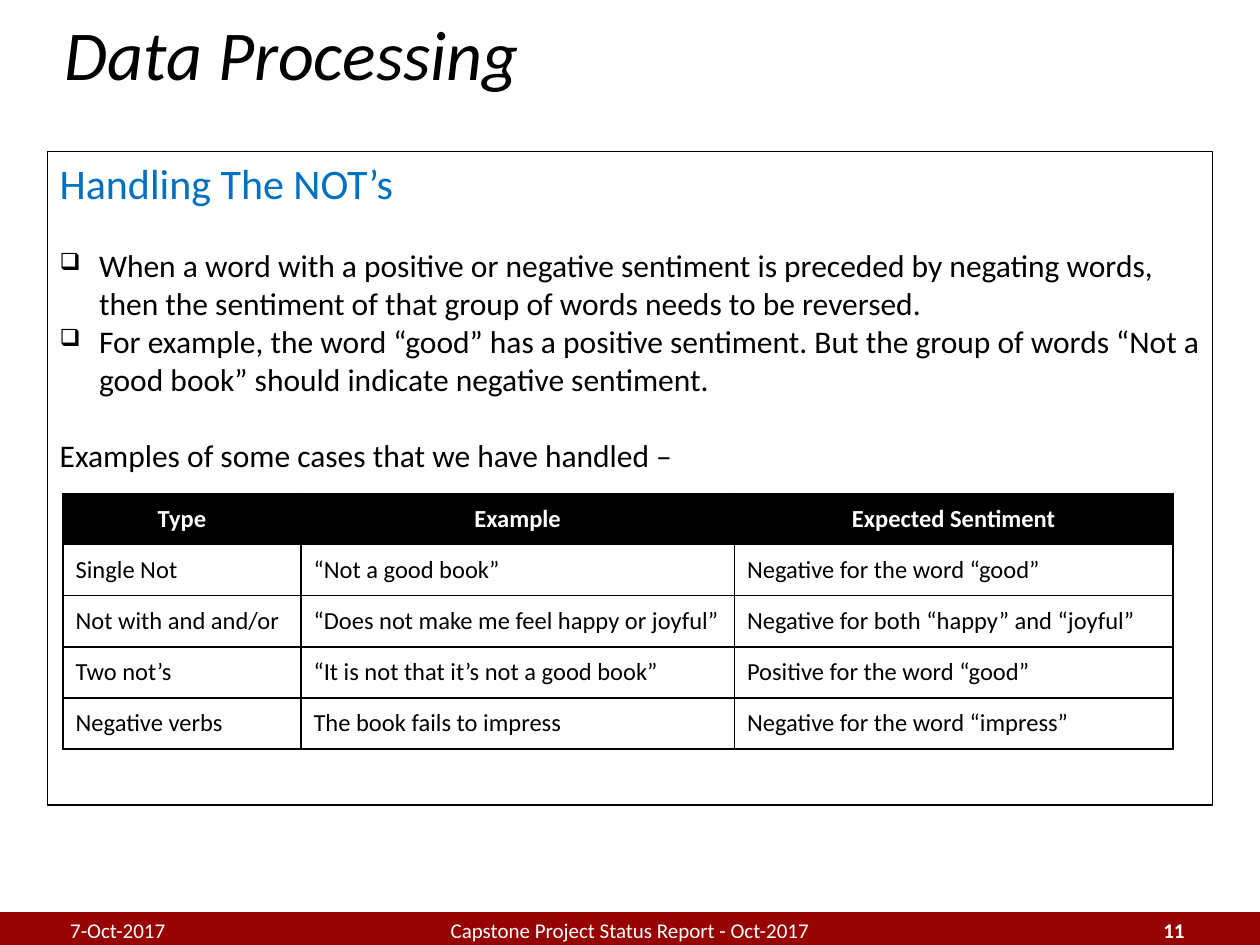
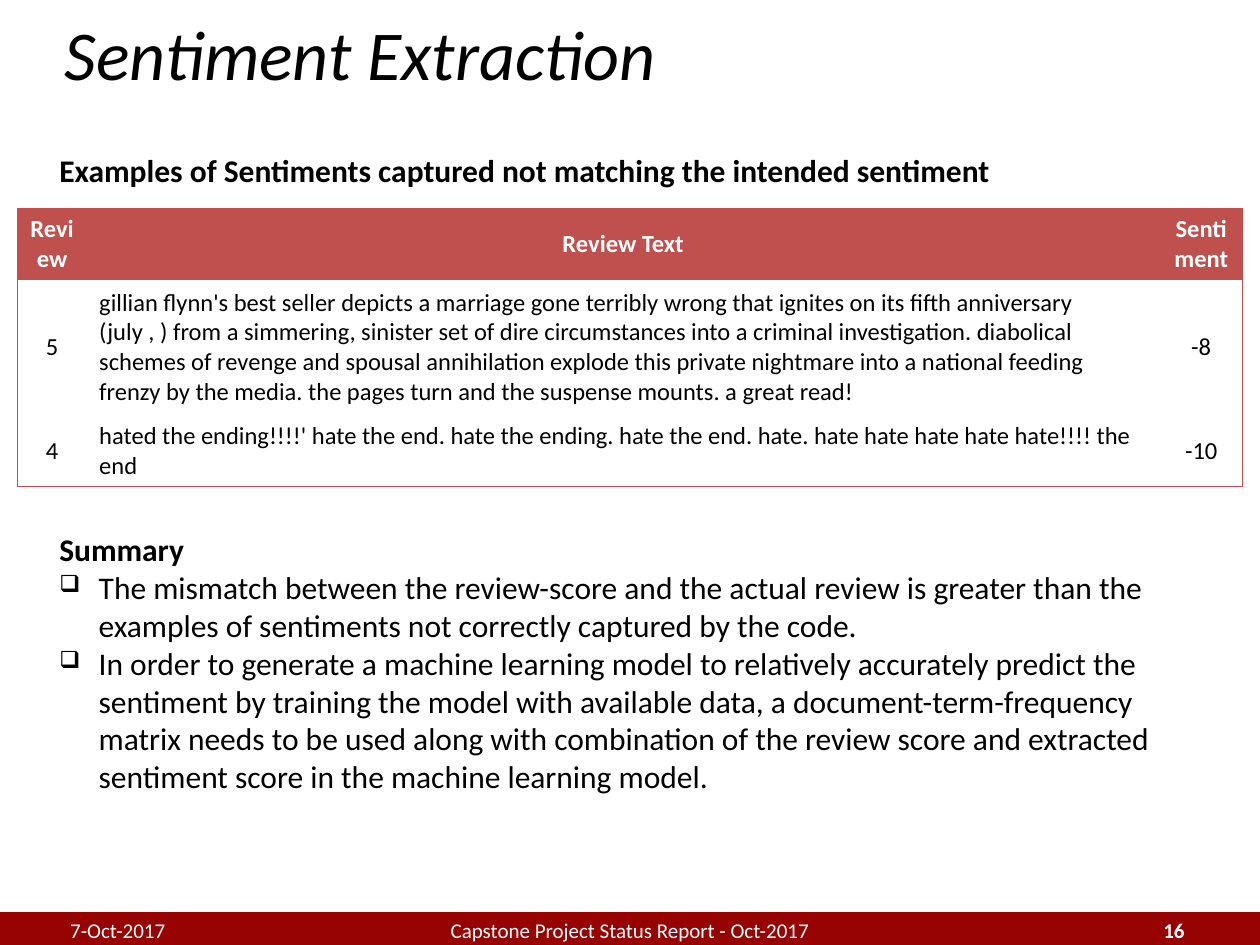
"""Builds two slides of a capstone status report on sentiment analysis."""
from lxml import etree
from pptx import Presentation
from pptx import util as u
from pptx.dml.color import RGBColor
from pptx.enum import shapes, text
from pptx.oxml import ns

BLACK = RGBColor(0x00, 0x00, 0x00)
WHITE = RGBColor(0xFF, 0xFF, 0xFF)
MAROON = RGBColor(0x97, 0x03, 0x03)
BRICK = RGBColor(0xC0, 0x50, 0x4D)
BLUE = RGBColor(0x00, 0x70, 0xC0)
FONT = "Calibri"
PLAIN_TABLE = "{2D5ABB26-0587-4C30-8999-92F81FD0307C}"
LEFT, CENTER, RIGHT = text.PP_ALIGN.LEFT, text.PP_ALIGN.CENTER, text.PP_ALIGN.RIGHT
TOP, MIDDLE = text.MSO_ANCHOR.TOP, text.MSO_ANCHOR.MIDDLE


def write(frame, content, size=18, color=BLACK, bold=False, italic=False,
          align=LEFT, bullet=False, before=0):
    paragraph = frame.paragraphs[0] if not frame.text else frame.add_paragraph()
    paragraph.alignment = align
    paragraph.space_before = u.Pt(before)
    if bullet:
        props = paragraph._p.get_or_add_pPr()
        props.set("marL", str(u.Pt(22.5)))
        props.set("indent", str(u.Pt(-22.5)))
        bullet_color = etree.SubElement(props, ns.qn("a:buClr"))
        etree.SubElement(bullet_color, ns.qn("a:srgbClr"), val=str(BLACK))
        etree.SubElement(props, ns.qn("a:buSzPct"), val="75000")
        etree.SubElement(props, ns.qn("a:buChar"), char="❑")
    run = paragraph.add_run()
    run.text = content
    font = run.font
    font.name, font.size, font.bold, font.italic = FONT, u.Pt(size), bold, italic
    font.color.rgb = color


def draw_borders(cell, sides, color, width):
    props = cell._tc.get_or_add_tcPr()
    for place, side in enumerate(side for side in "LRTB" if side in sides):
        line = etree.Element(ns.qn(f"a:ln{side}"), w=str(u.Pt(width)))
        fill = etree.SubElement(line, ns.qn("a:solidFill"))
        etree.SubElement(fill, ns.qn("a:srgbClr"), val=str(color))
        props.insert(place, line)


class Report:
    def __init__(self):
        self.deck = Presentation()
        self.deck.slide_width, self.deck.slide_height = u.Pt(720), u.Pt(540)
        self.slide = None

    def start(self, title, number):
        self.slide = self.deck.slides.add_slide(self.deck.slide_layouts[6])
        self.rectangle(0, 522, 720, 18, MAROON, 2, fill=MAROON)
        write(self.box(30, 0, 666, 60, MIDDLE), title, size=40, italic=True)
        for left, width, label, align, bold in (
                (33, 168, "7-Oct-2017", LEFT, False),
                (228, 264, "Capstone Project Status Report - Oct-2017", CENTER, False),
                (516, 168, str(number), RIGHT, True)):
            write(self.box(left, 517, width, 29, MIDDLE), label, size=12,
                  color=WHITE, bold=bold, align=align)

    def rectangle(self, left, top, width, height, line, weight, fill=None):
        shape = self.slide.shapes.add_shape(
            shapes.MSO_SHAPE.RECTANGLE, *map(u.Pt, (left, top, width, height)))
        shape.shadow.inherit = False
        if fill is None:
            shape.fill.background()
        else:
            shape.fill.solid()
            shape.fill.fore_color.rgb = fill
        shape.line.color.rgb = line
        shape.line.width = u.Pt(weight)
        shape.text_frame.vertical_anchor = TOP
        return shape.text_frame

    def box(self, left, top, width, height, anchor=TOP):
        frame = self.slide.shapes.add_textbox(
            *map(u.Pt, (left, top, width, height))).text_frame
        frame.word_wrap = True
        frame.vertical_anchor = anchor
        return frame

    def table(self, left, top, widths, heights, rows, color, weight,
              grid=True, aligns=(LEFT, LEFT, LEFT)):
        table = self.slide.shapes.add_table(
            len(rows), len(widths),
            *map(u.Pt, (left, top, sum(widths), sum(heights)))).table
        table.first_row = table.horz_banding = False
        table._tbl.tblPr.find(ns.qn("a:tableStyleId")).text = PLAIN_TABLE
        for column, width in zip(table.columns, widths):
            column.width = u.Pt(width)
        last_row, last_column = len(rows) - 1, len(widths) - 1
        for r, (values, height) in enumerate(zip(rows, heights)):
            table.rows[r].height = u.Pt(height)
            for c, value in enumerate(values):
                cell, header = table.cell(r, c), r == 0
                cell.vertical_anchor = MIDDLE
                write(cell.text_frame, value, size=14, bold=header,
                      color=WHITE if header else BLACK,
                      align=CENTER if header else aligns[c])
                if header:
                    cell.fill.solid()
                    cell.fill.fore_color.rgb = color
                else:
                    cell.fill.background()
                edges = {"L": c == 0, "R": c == last_column,
                         "T": r == 0, "B": r == last_row}
                sides = [side for side, outer in edges.items() if grid or outer]
                draw_borders(cell, sides, color, weight)


def data_processing(report):
    report.start("Data Processing", 11)
    body = report.rectangle(27, 86.4, 666, 373.7, BLACK, 0.75)
    write(body, "Handling The NOT’s", size=24, color=BLUE)
    write(body, "When a word with a positive or negative sentiment is preceded by "
          "negating words, then the sentiment of that group of words needs to be "
          "reversed.", bullet=True, before=22)
    write(body, "For example, the word “good” has a positive sentiment. But the group "
          "of words “Not a good book” should indicate negative sentiment.", bullet=True)
    write(body, "Examples of some cases that we have handled –", before=22)
    report.table(36, 282, (136, 247.7, 250.6), [29.2] * 5, [
        ("Type", "Example", "Expected Sentiment"),
        ("Single Not", "“Not a good book”", "Negative for the word “good”"),
        ("Not with and and/or", "“Does not make me feel happy or joyful”",
         "Negative for both “happy” and “joyful”"),
        ("Two not’s", "“It is not that it’s not a good book”",
         "Positive for the word “good”"),
        ("Negative verbs", "The book fails to impress",
         "Negative for the word “impress”"),
    ], BLACK, 1)


def sentiment_extraction(report):
    report.start("Sentiment Extraction", 16)
    write(report.box(26.8, 83, 666, 29),
          "Examples of Sentiments captured not matching the intended sentiment",
          bold=True)
    report.table(10, 119, (39.5, 613.2, 47.5), (41, 77, 41), [
        ("Review", "Review Text", "Sentiment"),
        ("5", "gillian flynn's best seller depicts a marriage gone terribly wrong that "
         "ignites on its fifth anniversary (july , ) from a simmering, sinister set of "
         "dire circumstances into a criminal investigation. diabolical schemes of "
         "revenge and spousal annihilation explode this private nightmare into a "
         "national feeding frenzy by the media. the pages turn and the suspense mounts. "
         "a great read!", "-8"),
        ("4", "hated the ending!!!!' hate the end. hate the ending. hate the end. hate. "
         "hate hate hate hate hate!!!! the end", "-10"),
    ], BRICK, 0.75, grid=False, aligns=(CENTER, LEFT, CENTER))
    summary = report.box(26.8, 299.5, 666, 162)
    write(summary, "Summary", bold=True)
    write(summary, "The mismatch between the review-score and the actual review is "
          "greater than the examples of sentiments not correctly captured by the code.",
          bullet=True)
    write(summary, "In order to generate a machine learning model to relatively "
          "accurately predict the sentiment by training the model with available data, "
          "a document-term-frequency matrix needs to be used along with combination of "
          "the review score and extracted sentiment score in the machine learning "
          "model.", bullet=True)


def main():
    report = Report()
    data_processing(report)
    sentiment_extraction(report)
    report.deck.save("out.pptx")


if __name__ == "__main__":
    main()
